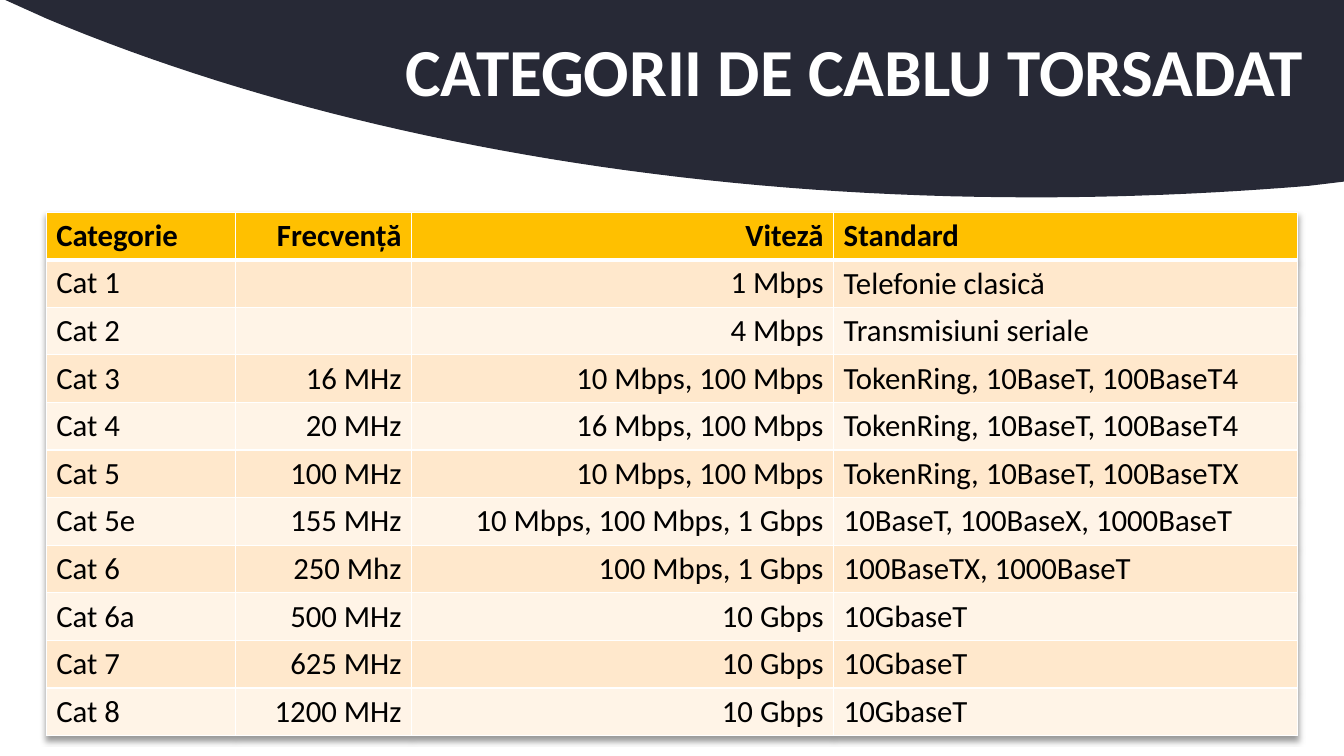
import dataclasses

import lxml.etree
import pptx
import pptx.dml.color
import pptx.enum.text
import pptx.oxml
import pptx.oxml.ns
import pptx.slide
import pptx.table
import pptx.text.text
import pptx.util

EMU_PER_PX = 9525
SLIDE_SIZE = (1280, 720)
ALIGN = pptx.enum.text.PP_ALIGN
ANCHOR = pptx.enum.text.MSO_ANCHOR

Point = tuple[float, float]


@dataclasses.dataclass(frozen=True)
class Theme:
    font: str = "Calibri"
    title_size: int = 48
    table_size: int = 22
    navy: str = "272936"
    white: str = "FFFFFF"
    black: str = "000000"
    header: str = "FFC000"
    bands: tuple[str, str] = ("FFE8CC", "FFF4E7")
    border: int = 1
    header_rule: int = 3


@dataclasses.dataclass(frozen=True)
class Column:
    heading: str
    width: int
    align: ALIGN = ALIGN.LEFT
    anchor: ANCHOR = ANCHOR.TOP


@dataclasses.dataclass(frozen=True)
class Category:
    name: str
    frequency: str
    speed: str
    standard: str


THEME = Theme()
TABLE_LEFT, TABLE_TOP, ROW_HEIGHT = 44, 202, 45

COLUMNS = [
    Column("Categorie", 180),
    Column("Frecvență", 168, ALIGN.RIGHT, ANCHOR.MIDDLE),
    Column("Viteză", 402, ALIGN.RIGHT),
    Column("Standard", 442, anchor=ANCHOR.MIDDLE),
]

CATEGORIES = [
    Category("Cat 1", "", "1 Mbps", "Telefonie clasică"),
    Category("Cat 2", "", "4 Mbps", "Transmisiuni seriale"),
    Category("Cat 3", "16 MHz", "10 Mbps, 100 Mbps", "TokenRing, 10BaseT, 100BaseT4"),
    Category("Cat 4", "20 MHz", "16 Mbps, 100 Mbps", "TokenRing, 10BaseT, 100BaseT4"),
    Category("Cat 5", "100 MHz", "10 Mbps, 100 Mbps", "TokenRing, 10BaseT, 100BaseTX"),
    Category("Cat 5e", "155 MHz", "10 Mbps, 100 Mbps, 1 Gbps", "10BaseT, 100BaseX, 1000BaseT"),
    Category("Cat 6", "250 Mhz", "100 Mbps, 1 Gbps", "100BaseTX, 1000BaseT"),
    Category("Cat 6a", "500 MHz", "10 Gbps", "10GbaseT"),
    Category("Cat 7", "625 MHz", "10 Gbps", "10GbaseT"),
    Category("Cat 8", "1200 MHz", "10 Gbps", "10GbaseT"),
]


def px(length: float) -> pptx.util.Emu:
    return pptx.util.Emu(round(length * EMU_PER_PX))


def rgb(color: str) -> pptx.dml.color.RGBColor:
    return pptx.dml.color.RGBColor.from_string(color)


def write_text(tf: pptx.text.text.TextFrame, text: str, *, size: int, color: str,
               bold: bool = False, align: ALIGN = ALIGN.LEFT,
               spacing: float | None = None) -> None:
    p = tf.paragraphs[0]
    p.alignment = align
    p.line_spacing = spacing
    p.font.size = pptx.util.Pt(size)
    if not text:
        return
    r = p.add_run()
    r.text = text
    r.font.name = THEME.font
    r.font.size = pptx.util.Pt(size)
    r.font.bold = bold
    r.font.color.rgb = rgb(color)


def cubic(start: Point, c1: Point, c2: Point, end: Point, steps: int = 40) -> list[Point]:
    """Points along a Bezier curve, without its start."""
    points = []
    for i in range(1, steps + 1):
        t = i / steps
        weights = ((1 - t) ** 3, 3 * t * (1 - t) ** 2, 3 * t * t * (1 - t), t ** 3)
        x, y = (sum(w * v for w, v in zip(weights, axis))
                for axis in zip(start, c1, c2, end))
        points.append((x, y))
    return points


def add_banner(slide: pptx.slide.Slide) -> None:
    """Draw the dark curved banner behind the title."""
    shoulder, lowest = (1247, 177), (985, 188)
    outline = [(1280, 0), (1280, 173), shoulder]
    outline += cubic(shoulder, (1162, 184), (1074, 188), lowest)
    outline += cubic(lowest, (628, 188), (300, 125), (45, 18))
    builder = slide.shapes.build_freeform(px(5), 0)
    builder.add_line_segments([(px(x), px(y)) for x, y in outline], close=True)
    sp = builder.convert_to_shape()
    sp.shadow.inherit = False
    sp.fill.solid()
    sp.fill.fore_color.rgb = rgb(THEME.navy)
    sp.line.fill.background()
    slide.shapes.title.element.addprevious(sp.element)


def add_title(slide: pptx.slide.Slide, text: str) -> None:
    sp = slide.shapes.title
    sp.left, sp.top, sp.width, sp.height = map(px, (88, 2, 1192, 139))
    tf = sp.text_frame
    tf.word_wrap = True
    tf.vertical_anchor = ANCHOR.MIDDLE
    tf.margin_left, tf.margin_right = pptx.util.Inches(0.1), pptx.util.Inches(0.4)
    tf.margin_top = tf.margin_bottom = pptx.util.Inches(0.05)
    write_text(tf, text, size=THEME.title_size, color=THEME.white, bold=True,
               align=ALIGN.RIGHT, spacing=0.9)


def set_borders(cell: pptx.table._Cell, top: int, bottom: int) -> None:
    tcPr = cell._tc.get_or_add_tcPr()
    widths = {"lnL": THEME.border, "lnR": THEME.border, "lnT": top, "lnB": bottom}
    for tag, width in widths.items():
        ln = lxml.etree.SubElement(tcPr, pptx.oxml.ns.qn(f"a:{tag}"),
                                   w=str(pptx.util.Pt(width)))
        fill = lxml.etree.SubElement(ln, pptx.oxml.ns.qn("a:solidFill"))
        lxml.etree.SubElement(fill, pptx.oxml.ns.qn("a:srgbClr"), val=THEME.white)


def add_table_shadow(table: pptx.table.Table) -> None:
    effects = pptx.oxml.parse_xml(
        f'<a:effectLst {pptx.oxml.ns.nsdecls("a")}>'
        '<a:outerShdw blurRad="50800" dist="38100" dir="5400000" algn="t">'
        f'<a:srgbClr val="{THEME.black}"><a:alpha val="40000"/></a:srgbClr>'
        '</a:outerShdw></a:effectLst>')
    table._tbl.tblPr.insert(0, effects)


def add_category_table(slide: pptx.slide.Slide) -> None:
    rows = [tuple(c.heading for c in COLUMNS)]
    rows += [dataclasses.astuple(category) for category in CATEGORIES]
    width = sum(c.width for c in COLUMNS)
    table = slide.shapes.add_table(
        len(rows), len(COLUMNS), px(TABLE_LEFT), px(TABLE_TOP),
        px(width), px(ROW_HEIGHT * len(rows))).table
    add_table_shadow(table)
    for i, column in enumerate(COLUMNS):
        table.columns[i].width = px(column.width)
    for i, texts in enumerate(rows):
        is_header = i == 0
        for j, (text, column) in enumerate(zip(texts, COLUMNS)):
            cell = table.cell(i, j)
            set_borders(cell, top=THEME.header_rule if i == 1 else THEME.border,
                        bottom=THEME.header_rule if is_header else THEME.border)
            cell.fill.solid()
            cell.fill.fore_color.rgb = rgb(THEME.header if is_header
                                           else THEME.bands[(i - 1) % 2])
            cell.vertical_anchor = column.anchor
            write_text(cell.text_frame, text, size=THEME.table_size,
                       color=THEME.black, bold=is_header, align=column.align)


def main() -> None:
    prs = pptx.Presentation()
    prs.slide_width, prs.slide_height = map(px, SLIDE_SIZE)
    slide = prs.slides.add_slide(prs.slide_layouts.get_by_name("Title Only"))
    add_title(slide, "CATEGORII DE CABLU TORSADAT")
    add_banner(slide)
    add_category_table(slide)
    prs.save("out.pptx")


if __name__ == "__main__":
    main()
